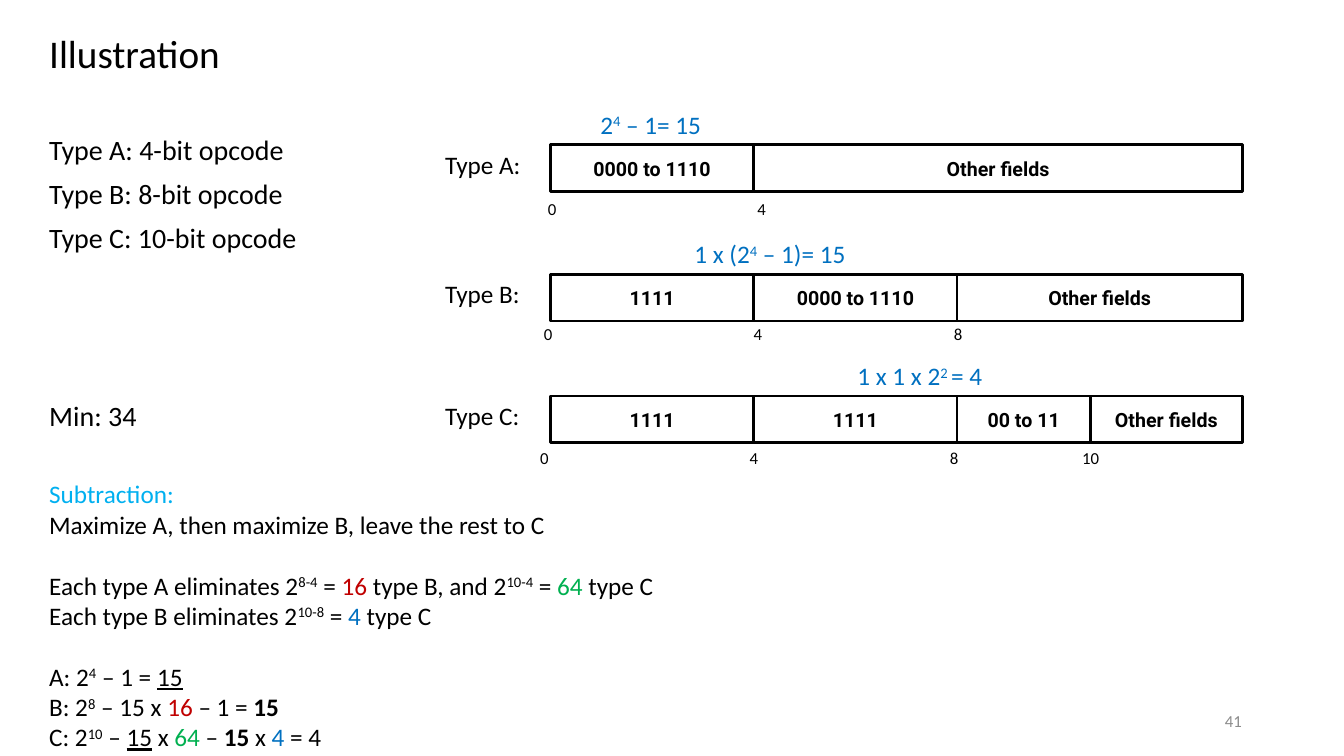
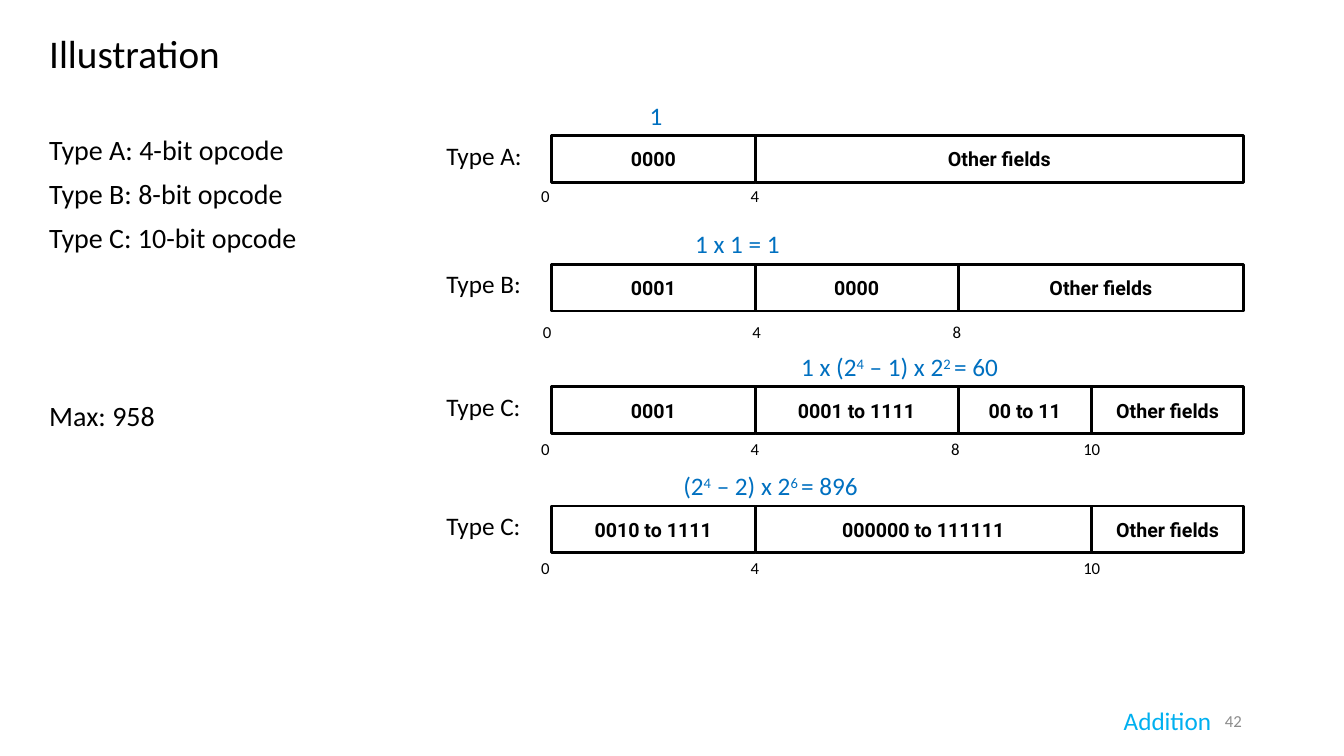
from dataclasses import dataclass

from pptx import Presentation
from pptx.dml.color import RGBColor
from pptx.enum.shapes import MSO_SHAPE
from pptx.enum.text import MSO_ANCHOR, MSO_AUTO_SIZE, PP_ALIGN
from pptx.util import Cm, Pt

RECTANGLE = MSO_SHAPE.RECTANGLE
MIDDLE = MSO_ANCHOR.MIDDLE
GROW = MSO_AUTO_SIZE.SHAPE_TO_FIT_TEXT
CENTER = PP_ALIGN.CENTER
RIGHT = PP_ALIGN.RIGHT


@dataclass(frozen=True)
class Theme:
    black: RGBColor = RGBColor(0x00, 0x00, 0x00)
    white: RGBColor = RGBColor(0xFF, 0xFF, 0xFF)
    grey: RGBColor = RGBColor(0x8C, 0x8C, 0x8C)
    red: RGBColor = RGBColor(0xC0, 0x00, 0x00)
    green: RGBColor = RGBColor(0x00, 0xB0, 0x50)
    blue: RGBColor = RGBColor(0x00, 0x70, 0xC0)
    cyan: RGBColor = RGBColor(0x00, 0xB0, 0xF0)
    text_font: str = "Calibri"
    cell_font: str = "Roboto"
    title_size: int = 28
    outline_size: int = 20
    body_size: int = 18
    cell_size: int = 14
    small_size: int = 12
    cell_line: int = 2


THEME = Theme()
COLORS = {"red": THEME.red, "green": THEME.green, "blue": THEME.blue, "cyan": THEME.cyan}


def write(paragraph, pieces, size, color=THEME.black, font=THEME.text_font):
    for piece in pieces:
        text, style = (piece, "plain") if isinstance(piece, str) else piece
        run = paragraph.add_run()
        run.text = text
        run.font.name = font
        run.font.size = Pt(size)
        run.font.color.rgb = COLORS.get(style, color)
        if style == "bold":
            run.font.bold = True
        if style == "underline":
            run.font.underline = True
        if style == "super":
            run._r.get_or_add_rPr().set("baseline", "30000")


def add_label(slide, left, top, width, height, pieces, size, color=THEME.black):
    frame = slide.shapes.add_textbox(Cm(left), Cm(top), Cm(width), Cm(height)).text_frame
    frame.word_wrap = False
    frame.auto_size = GROW
    write(frame.paragraphs[0], pieces, size, color)
    return frame


BIT_EDGE = {0: 0, 4: 5.13, 8: 10.25, 10: 13.61}
ROW_WIDTH = 17.44
ROW_HEIGHT = 1.18
TICK_OFFSET = {0: -0.51, 4: -0.36, 8: -0.43, 10: -0.46}
LABEL_HEIGHT = 1.02

SLIDES = [
    {
        "number": "41",
        "answer": "Min: 34",
        "left": 13.87,
        "rows": [
            {"name": "Type A:", "top": 3.65, "tick_shift": 0.2, "tick_drop": 1.24,
             "cells": [(0, "0000 to 1110"), (4, "Other fields")],
             "count_at": (14.88, 3.23),
             "count": ["2", ("4", "super"), " – 1= 15"]},
            {"name": "Type B:", "top": 6.91, "tick_shift": 0.1, "tick_drop": 1.12,
             "cells": [(0, "1111"), (4, "0000 to 1110"), (8, "Other fields")],
             "count_at": (17.25, 4.5),
             "count": ["1 x (2", ("4", "super"), " – 1)= 15"]},
            {"name": "Type C:", "top": 9.98, "tick_shift": 0, "tick_drop": 1.17,
             "cells": [(0, "1111"), (4, "1111"), (8, "00 to 11"), (10, "Other fields")],
             "count_at": (21.36, 3.73),
             "count": ["1 x 1 x 2", ("2 ", "super"), "= 4"]},
        ],
    },
    {
        "number": "42",
        "answer": "Max: 958",
        "left": 13.9,
        "rows": [
            {"name": "Type A:", "top": 3.42, "tick_shift": 0, "tick_drop": 1.14,
             "cells": [(0, "0000"), (4, "Other fields")],
             "count_at": (16.12, 0.85),
             "count": ["1"]},
            {"name": "Type B:", "top": 6.66, "tick_shift": 0.04, "tick_drop": 1.32,
             "cells": [(0, "0001"), (4, "0000"), (8, "Other fields")],
             "count_at": (17.27, 2.67),
             "count": ["1 x 1 = 1"]},
            {"name": "Type C:", "top": 9.75, "tick_shift": 0, "tick_drop": 1.17,
             "cells": [(0, "0001"), (4, "0001 to 1111"), (8, "00 to 11"), (10, "Other fields")],
             "count_at": (19.94, 5.61),
             "count": ["1 x (2", ("4", "super"), " – 1) x 2", ("2 ", "super"), "= 60"]},
            {"name": "Type C:", "top": 12.75, "tick_shift": 0, "tick_drop": 1.19,
             "cells": [(0, "0010 to 1111"), (4, "000000 to 111111"), (10, "Other fields")],
             "count_at": (16.97, 5.03),
             "count": ["(2", ("4", "super"), " – 2) x 2", ("6 ", "super"), "= 896"]},
        ],
    },
]

SUBTRACTION = [
    (0, ["Maximize A, then maximize B, leave the rest to C"]),
    (22, ["Each type A eliminates 2", ("8-4", "super"), " = ", ("16", "red"),
          " type B, and 2", ("10-4", "super"), " = ", ("64", "green"), " type C"]),
    (0, ["Each type B eliminates 2", ("10-8", "super"), " = ", ("4", "blue"), " type C"]),
    (22, ["A: 2", ("4", "super"), " – 1 = ", ("15", "underline")]),
    (0, ["B: 2", ("8", "super"), " – 15 x ", ("16 ", "red"), "– 1 = ", ("15", "bold")]),
    (0, ["C: 2", ("10", "super"), " – ", ("15", "underline"), " x ", ("64", "green"),
         " – ", ("15", "bold"), " x ", ("4", "blue"), " = 4"]),
]

prs = Presentation()
prs.slide_width = Cm(33.87)
prs.slide_height = Cm(19.05)
blank = prs.slide_layouts[6]

for content in SLIDES:
    slide = prs.slides.add_slide(blank)

    outline = slide.shapes.add_textbox(Cm(0.99), Cm(0.76), Cm(13.08), Cm(12.32)).text_frame
    outline.word_wrap = True
    outline_lines = [
        ("Illustration", THEME.title_size, 10),
        ("Type A: 4-bit opcode", THEME.outline_size, 42),
        ("Type B: 8-bit opcode", THEME.outline_size, 10),
        ("Type C: 10-bit opcode", THEME.outline_size, 10),
        (content["answer"], THEME.outline_size, 105),
    ]
    for index, (line, size, gap) in enumerate(outline_lines):
        paragraph = outline.add_paragraph() if index else outline.paragraphs[0]
        paragraph.line_spacing = 0.9
        paragraph.space_before = Pt(gap)
        write(paragraph, [line], size)

    for row in content["rows"]:
        left, top = content["left"], row["top"]
        starts = [bit for bit, _ in row["cells"]]
        edges = [BIT_EDGE[bit] for bit in starts] + [ROW_WIDTH]
        for (bit, field), start, end in zip(row["cells"], edges, edges[1:]):
            cell = slide.shapes.add_shape(
                RECTANGLE, Cm(left + start), Cm(top), Cm(end - start), Cm(ROW_HEIGHT))
            cell.shadow.inherit = False
            cell.fill.solid()
            cell.fill.fore_color.rgb = THEME.white
            cell.line.color.rgb = THEME.black
            cell.line.width = Pt(THEME.cell_line)
            cell.text_frame.word_wrap = False
            cell.text_frame.vertical_anchor = MIDDLE
            field_line = cell.text_frame.paragraphs[0]
            field_line.alignment = CENTER
            write(field_line, [(field, "bold")], THEME.cell_size, font=THEME.cell_font)

            tick_left = left + start + TICK_OFFSET[bit] + row["tick_shift"]
            tick_width = 0.94 if bit >= 10 else 0.74
            add_label(slide, tick_left, top + row["tick_drop"], tick_width, 0.76,
                      [str(bit)], THEME.small_size)

        add_label(slide, left - 2.9, top - 0.02, 2.44, LABEL_HEIGHT,
                  [row["name"]], THEME.body_size)
        count_left, count_width = row["count_at"]
        add_label(slide, count_left, top - 1.02, count_width, LABEL_HEIGHT,
                  row["count"], THEME.body_size, THEME.blue)

    page_number = slide.shapes.add_textbox(
        Cm(23.93), Cm(17.65), Cm(7.62), Cm(LABEL_HEIGHT)).text_frame
    page_number.word_wrap = True
    page_number.vertical_anchor = MIDDLE
    page_number.paragraphs[0].alignment = RIGHT
    write(page_number.paragraphs[0], [content["number"]], THEME.small_size, THEME.grey)

subtraction_slide, addition_slide = prs.slides

working = add_label(subtraction_slide, 0.99, 11.94, 16.1, 7.19,
                    ["Subtraction:"], THEME.body_size, THEME.cyan)
for gap, pieces in SUBTRACTION:
    step = working.add_paragraph()
    step.space_before = Pt(gap)
    write(step, pieces, THEME.body_size)

add_label(addition_slide, 28.07, 17.65, 2.74, LABEL_HEIGHT,
          ["Addition"], THEME.body_size, THEME.cyan)

prs.save("out.pptx")
